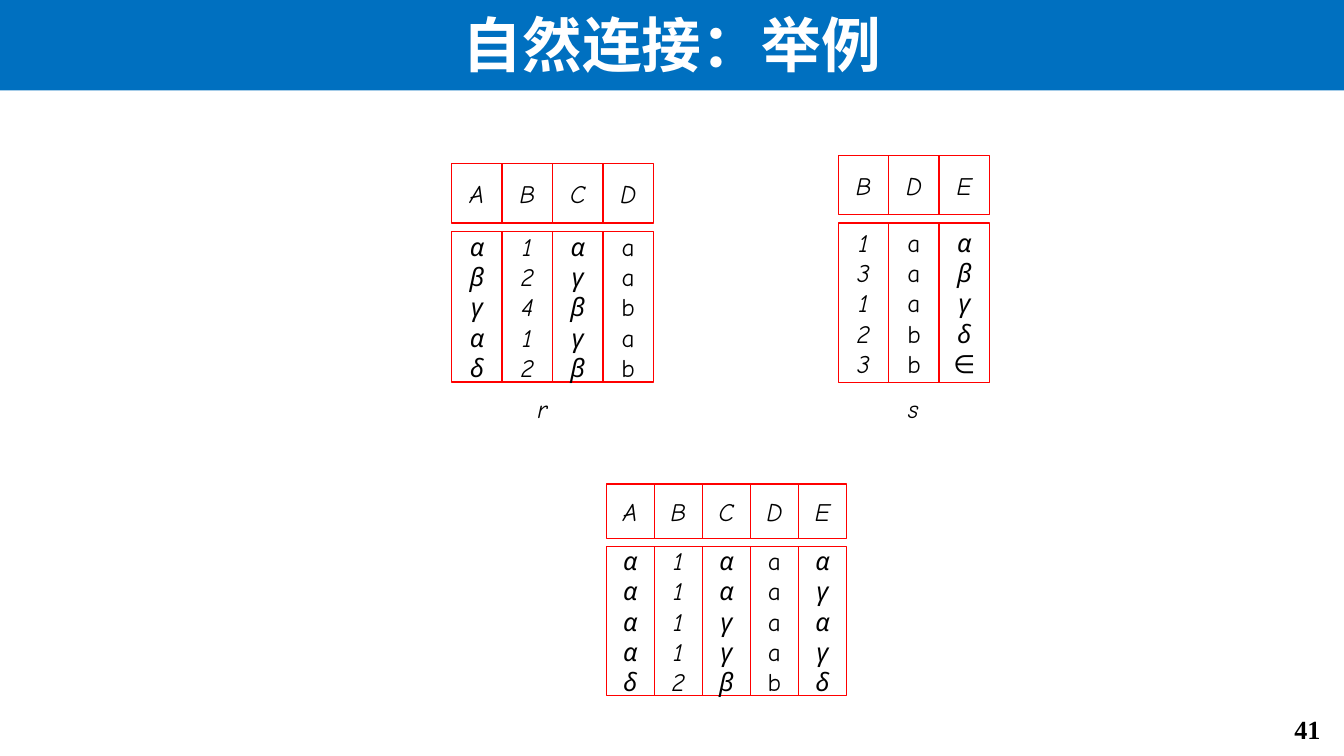
from pptx import Presentation
from pptx.dml.color import RGBColor
from pptx.enum.shapes import MSO_SHAPE
from pptx.enum.text import MSO_ANCHOR, PP_ALIGN
from pptx.util import Pt

RECTANGLE = MSO_SHAPE.RECTANGLE
MIDDLE, TOP = MSO_ANCHOR.MIDDLE, MSO_ANCHOR.TOP
CENTER, RIGHT = PP_ALIGN.CENTER, PP_ALIGN.RIGHT
BLUE = RGBColor(0x00, 0x70, 0xC0)
RED = RGBColor(0xFF, 0x00, 0x00)
WHITE = RGBColor(0xFF, 0xFF, 0xFF)
BLACK = RGBColor(0x00, 0x00, 0x00)

TITLE = "自然连接：举例"
PAGE_NUMBER = "41"
UPRIGHT_COLUMN = "D"
RELATIONS = [
    {"left": 242, "column_width": 27, "head": (87.7, 31.8), "body": (124, 80.8),
     "columns": {"A": "αβγαδ", "B": "12412", "C": "αγβγβ", "D": "aabab"}},
    {"left": 449.1, "column_width": 27, "head": (83.2, 31.8), "body": (119.5, 85.4),
     "columns": {"B": "13123", "D": "aaabb", "E": "αβγδ∈"}},
    {"left": 324.8, "column_width": 25.75, "head": (259.3, 29.3), "body": (292.8, 79.8),
     "columns": {"A": "ααααδ", "B": "11112", "C": "ααγγβ", "D": "aaaab", "E": "αγαγδ"}},
]
LABELS = [("r", 280), ("s", 478.8)]
LABEL_TOP, LABEL_WIDTH, LABEL_HEIGHT = 206.9, 21, 24

TITLE_FONT = {"name": "Arial", "size": Pt(32), "bold": True}
NUMBER_FONT = {"name": "Times New Roman", "size": Pt(14), "bold": True}
UPRIGHT_FONT = {"name": "Comic Neue", "size": Pt(13.5)}
ITALIC_FONT = {**UPRIGHT_FONT, "italic": True}


def write(box, lines, font, color=BLACK, align=CENTER, anchor=MIDDLE, wrap=False, inset=0):
    frame = box.text_frame
    settings = {"word_wrap": wrap, "vertical_anchor": anchor}
    for side in ("left", "right", "top", "bottom"):
        settings[f"margin_{side}"] = Pt(inset)
    for name, value in settings.items():
        setattr(frame, name, value)
    for index, line in enumerate(lines):
        para = frame.add_paragraph() if index else frame.paragraphs[0]
        para.alignment = align
        span = para.add_run()
        span.text = line
        for name, value in font.items():
            setattr(span.font, name, value)
        span.font.color.rgb = color


def add_rectangle(page, left, top, width, height):
    box = page.shapes.add_shape(RECTANGLE, Pt(left), Pt(top), Pt(width), Pt(height))
    box.shadow.inherit = False
    return box


def add_cell(page, left, top, width, height, lines, font):
    box = add_rectangle(page, left, top, width, height)
    box.fill.background()
    box.line.color.rgb = RED
    box.line.width = Pt(0.75)
    write(box, lines, font)


def add_relation(page, relation):
    width = relation["column_width"]
    for index, (heading, values) in enumerate(relation["columns"].items()):
        left = relation["left"] + index * width
        body_font = UPRIGHT_FONT if heading == UPRIGHT_COLUMN else ITALIC_FONT
        for part, lines, font in (("head", heading, ITALIC_FONT), ("body", values, body_font)):
            top, height = relation[part]
            add_cell(page, left, top, width, height, lines, font)


def main():
    deck = Presentation()
    deck.slide_width, deck.slide_height = Pt(720), Pt(405)
    page = deck.slides.add_slide(deck.slide_layouts[6])

    number = page.shapes.add_textbox(Pt(666), Pt(378), Pt(45.4), Pt(24.5))
    write(number, [PAGE_NUMBER], NUMBER_FONT, align=RIGHT, anchor=TOP, wrap=True, inset=4)

    banner = add_rectangle(page, 0, -1.5, 720, 50)
    banner.fill.solid()
    banner.fill.fore_color.rgb = BLUE
    banner.line.fill.background()
    write(banner, [TITLE], TITLE_FONT, color=WHITE, wrap=True)

    for relation in RELATIONS:
        add_relation(page, relation)
    for name, left in LABELS:
        label = page.shapes.add_textbox(Pt(left), Pt(LABEL_TOP), Pt(LABEL_WIDTH), Pt(LABEL_HEIGHT))
        write(label, [name], ITALIC_FONT)

    deck.save("out.pptx")


if __name__ == "__main__":
    main()
